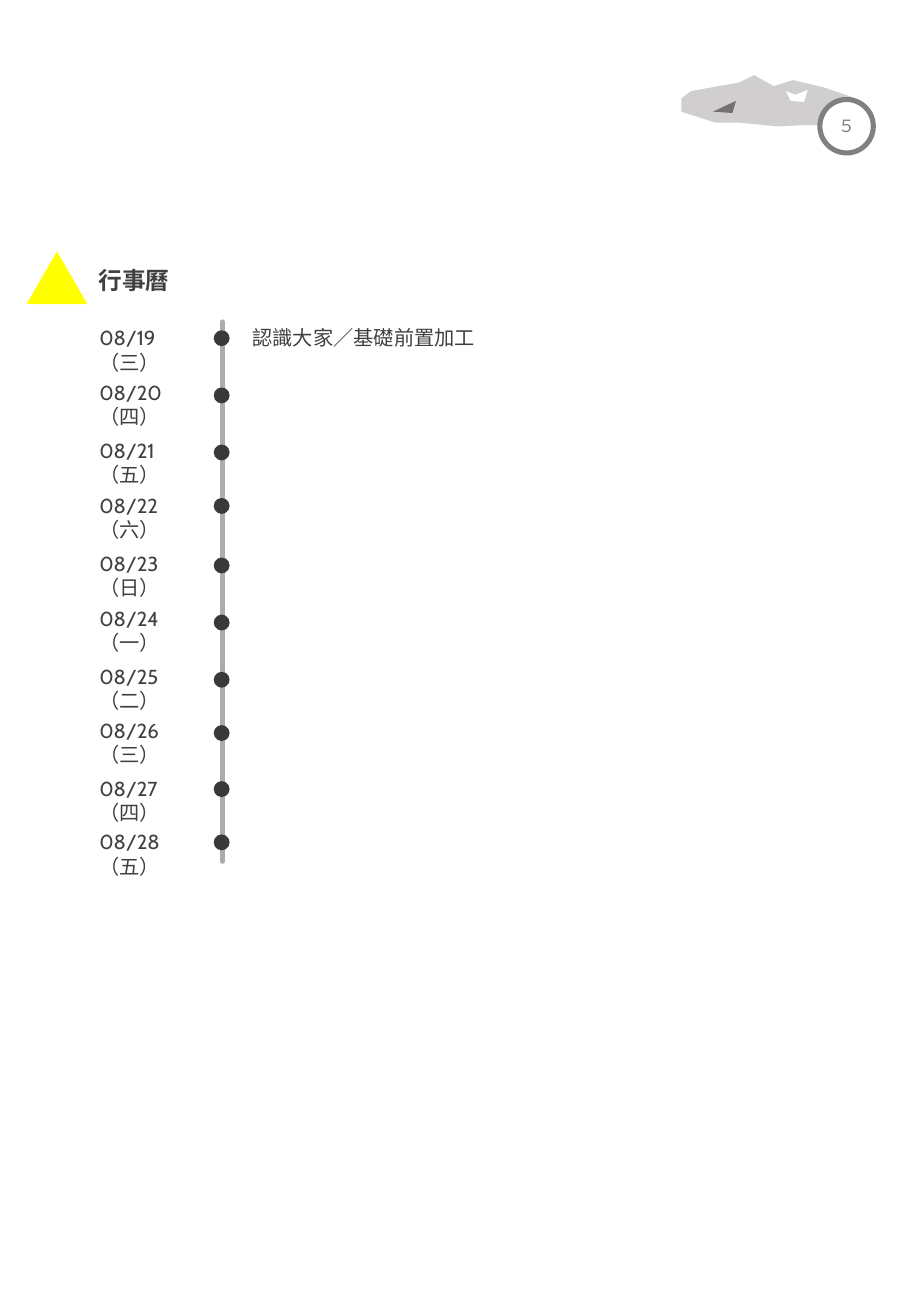
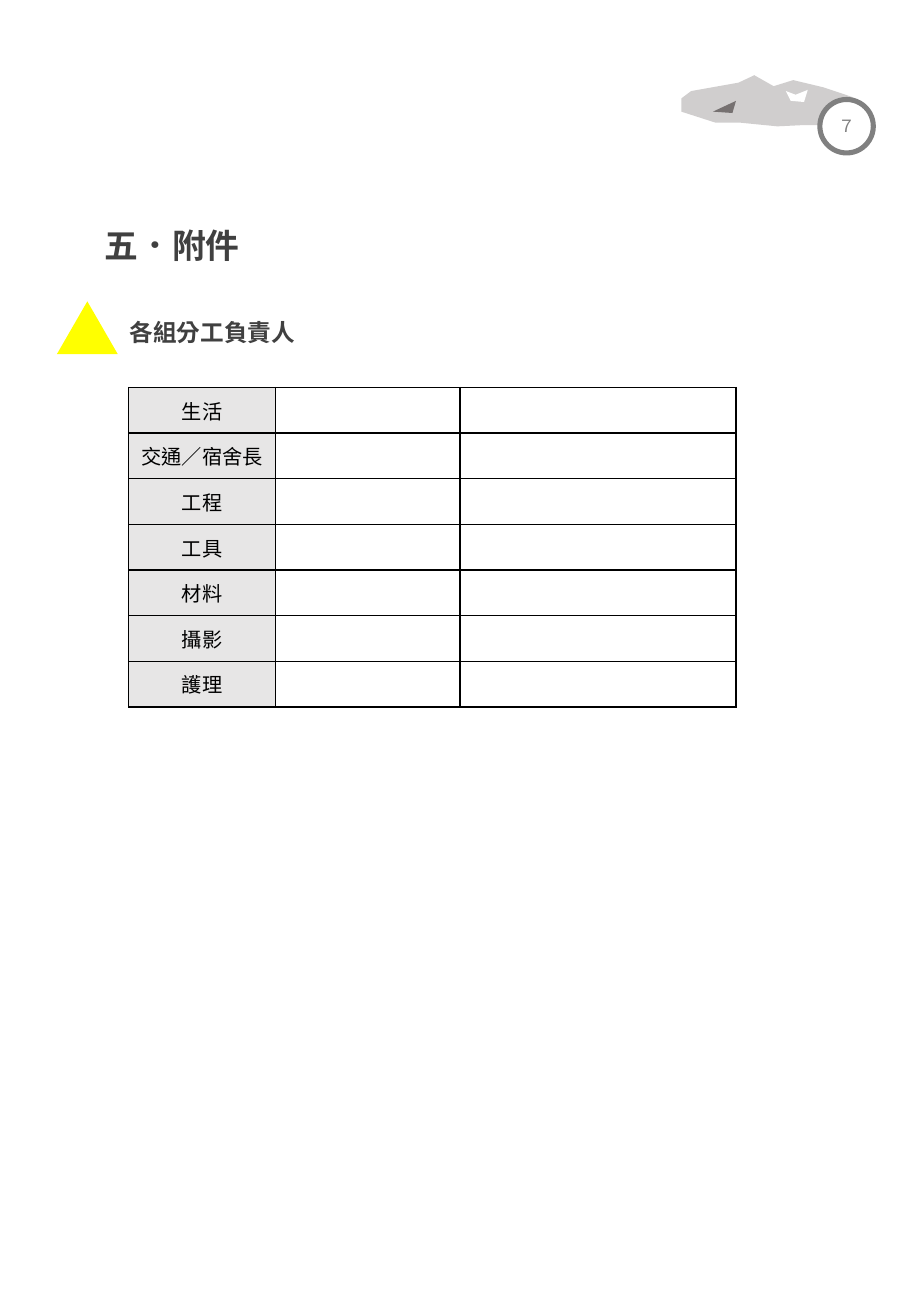
from lxml import etree
from pptx import Presentation
from pptx.dml.color import RGBColor
from pptx.enum.lang import MSO_LANGUAGE_ID
from pptx.enum.shapes import MSO_CONNECTOR, MSO_SHAPE
from pptx.enum.text import MSO_ANCHOR, MSO_AUTO_SIZE, PP_ALIGN
from pptx.oxml.ns import qn
from pptx.util import Pt

LEFT, CENTER = PP_ALIGN.LEFT, PP_ALIGN.CENTER
TOP, MIDDLE = MSO_ANCHOR.TOP, MSO_ANCHOR.MIDDLE
NO_FIT = MSO_AUTO_SIZE.NONE
OVAL, TRIANGLE = MSO_SHAPE.OVAL, MSO_SHAPE.ISOSCELES_TRIANGLE
STRAIGHT = MSO_CONNECTOR.STRAIGHT
CHINESE = MSO_LANGUAGE_ID.TRADITIONAL_CHINESE

FONT = "Cabin"
TITLE_ONLY = 5
COLORS = {
    "text": "404040", "black": "000000", "white": "FFFFFF",
    "badge": "808080", "rock": "D0CECE", "shade": "767171",
    "marker": "FFFF00", "rail": "AFABAB", "dot": "3B3838", "label": "E7E6E6",
}

# Outlines of the mountain in the page header, in points
ROCK = [(409.7, 54), (437.8, 49), (447.1, 44.6), (458.6, 51.1), (470.2, 47.5),
        (488.2, 51.8), (505.4, 57.6), (515.5, 64.8), (514.8, 72), (498.2, 74.2),
        (475.2, 74.2), (460.8, 74.9), (438.5, 72.7), (424.1, 72.7),
        (403.9, 66.2), (403.9, 58.3)]
SNOW = [(471.6, 56.2), (478.8, 53.3), (476.6, 60.5), (468.7, 59.8), (465.8, 54)]
SHADE = [(422.6, 66.2), (436.3, 59.8), (434.2, 67)]

# Calendar: weekday, top of the date, top of its dot
FIRST_DAY = 19
DAYS = [("三", 189.4, 195.8), ("四", 221.8, 229.7), ("五", 256.3, 263.5),
        ("六", 288.7, 295.2), ("日", 323.3, 330.5), ("一", 355.7, 364.3),
        ("二", 390.2, 398.2), ("三", 421.9, 429.8), ("四", 456.5, 463),
        ("五", 488.2, 494.6)]
TEAMS = ["生活", "交通／宿舍長", "工程", "工具", "材料", "攝影", "護理"]


def color(name):
    return RGBColor.from_string(COLORS[name])


def write(frame, text, size=12, ink="text", bold=False, align=LEFT):
    para = frame.paragraphs[0]
    para.alignment = align
    span = para.add_run()
    span.text = text
    font = span.font
    font.name, font.size, font.bold = FONT, Pt(size), bold
    font.color.rgb = color(ink)
    font.language_id = CHINESE


class Booklet:
    def __init__(self):
        self.deck = Presentation()
        self.deck.slide_width, self.deck.slide_height = Pt(540), Pt(780)
        self.page = None

    def add_page(self, number):
        layout = self.deck.slide_layouts[TITLE_ONLY]
        self.page = self.deck.slides.add_slide(layout)
        for outline, fill in ((ROCK, "rock"), (SNOW, "white"), (SHADE, "shade")):
            self.polygon(outline, fill)
        badge = self.shape(OVAL, 486, 59, 31.7, 31.7, "white")
        badge.line.color.rgb = color("badge")
        badge.line.width = Pt(3)
        frame = badge.text_frame
        frame.margin_left = frame.margin_right = 0
        frame.vertical_anchor = MIDDLE
        write(frame, number, size=10, ink="badge", align=CENTER)

    def paint(self, shape, fill):
        shape.shadow.inherit = False
        shape.fill.solid()
        shape.fill.fore_color.rgb = color(fill)
        shape.line.fill.background()
        return shape

    def polygon(self, outline, fill):
        start, *others = [(Pt(x), Pt(y)) for x, y in outline]
        builder = self.page.shapes.build_freeform(*start)
        builder.add_line_segments(others, close=True)
        self.paint(builder.convert_to_shape(), fill)

    def shape(self, kind, left, top, width, height, fill):
        shape = self.page.shapes.add_shape(
            kind, Pt(left), Pt(top), Pt(width), Pt(height))
        return self.paint(shape, fill)

    def text(self, text, left, top, width, height=21.8, **style):
        box = self.page.shapes.add_textbox(
            Pt(left), Pt(top), Pt(width), Pt(height))
        box.text_frame.word_wrap = True
        write(box.text_frame, text, **style)

    def title(self, text, left, top, width, height, size):
        box = self.page.shapes.title
        box.left, box.top = Pt(left), Pt(top)
        box.width, box.height = Pt(width), Pt(height)
        frame = box.text_frame
        frame.word_wrap, frame.auto_size = True, NO_FIT
        frame.vertical_anchor = TOP
        write(frame, text, size=size, bold=True)

    def marker(self, left, top):
        self.shape(TRIANGLE, left, top, 36, 31.2, "marker")

    def rail(self, x, top, bottom):
        rail = self.page.shapes.add_connector(
            STRAIGHT, Pt(x), Pt(top), Pt(x), Pt(bottom))
        rail.line.color.rgb = color("rail")
        rail.line.width = Pt(3)
        properties = rail._element.spPr
        properties.find(qn("a:ln")).set("cap", "rnd")
        etree.SubElement(properties, qn("a:effectLst"))

    def table(self, labels, left, top, widths, row_height):
        table = self.page.shapes.add_table(
            len(labels), len(widths), Pt(left), Pt(top),
            Pt(sum(widths)), Pt(row_height * len(labels))).table
        table.first_row = table.horz_banding = False
        for column, width in zip(table.columns, widths):
            column.width = Pt(width)
        for row, label in zip(table.rows, labels):
            row.height = Pt(row_height)
            for index, cell in enumerate(row.cells):
                self.cell(cell, "white" if index else "label")
            write(row.cells[0].text_frame, label, ink="black", align=CENTER)

    def cell(self, cell, fill):
        cell.margin_left = cell.margin_right = Pt(3.6)
        cell.margin_top = cell.margin_bottom = 0
        cell.vertical_anchor = MIDDLE
        properties = cell._tc.get_or_add_tcPr()
        for side in ("a:lnL", "a:lnR", "a:lnT", "a:lnB"):
            edge = etree.SubElement(properties, qn(side), w=str(Pt(1)))
            solid = etree.SubElement(edge, qn("a:solidFill"))
            etree.SubElement(solid, qn("a:srgbClr"), val=COLORS["black"])
        cell.fill.solid()
        cell.fill.fore_color.rgb = color(fill)


def calendar_page(booklet):
    booklet.add_page("５")
    booklet.title("行事曆", 51.1, 154.1, 120, 24.5, size=14)
    booklet.marker(15.8, 149)
    # Timeline
    booklet.rail(131.8, 190.8, 510.5)
    for day, (weekday, date_top, dot_top) in enumerate(DAYS, FIRST_DAY):
        booklet.text(f"08/{day} （{weekday}）", 51.8, date_top, 80)
        booklet.shape(OVAL, 126.7, dot_top, 9.4, 9.4, "dot")
    booklet.text("認識大家／基礎前置加工", 142.6, 189.4, 160)


def appendix_page(booklet):
    booklet.add_page("７")
    booklet.title("五．附件", 54.7, 129.6, 160, 31.7, size=20)
    booklet.marker(33.8, 178.6)
    booklet.text("各組分工負責人", 69.8, 185, 140, 24.5, size=14, bold=True)
    # Duty table
    booklet.table(TEAMS, 76.3, 229.7, [87.1, 109.4, 163.5], 27.05)


def main():
    booklet = Booklet()
    calendar_page(booklet)
    appendix_page(booklet)
    booklet.deck.save("out.pptx")


if __name__ == "__main__":
    main()
